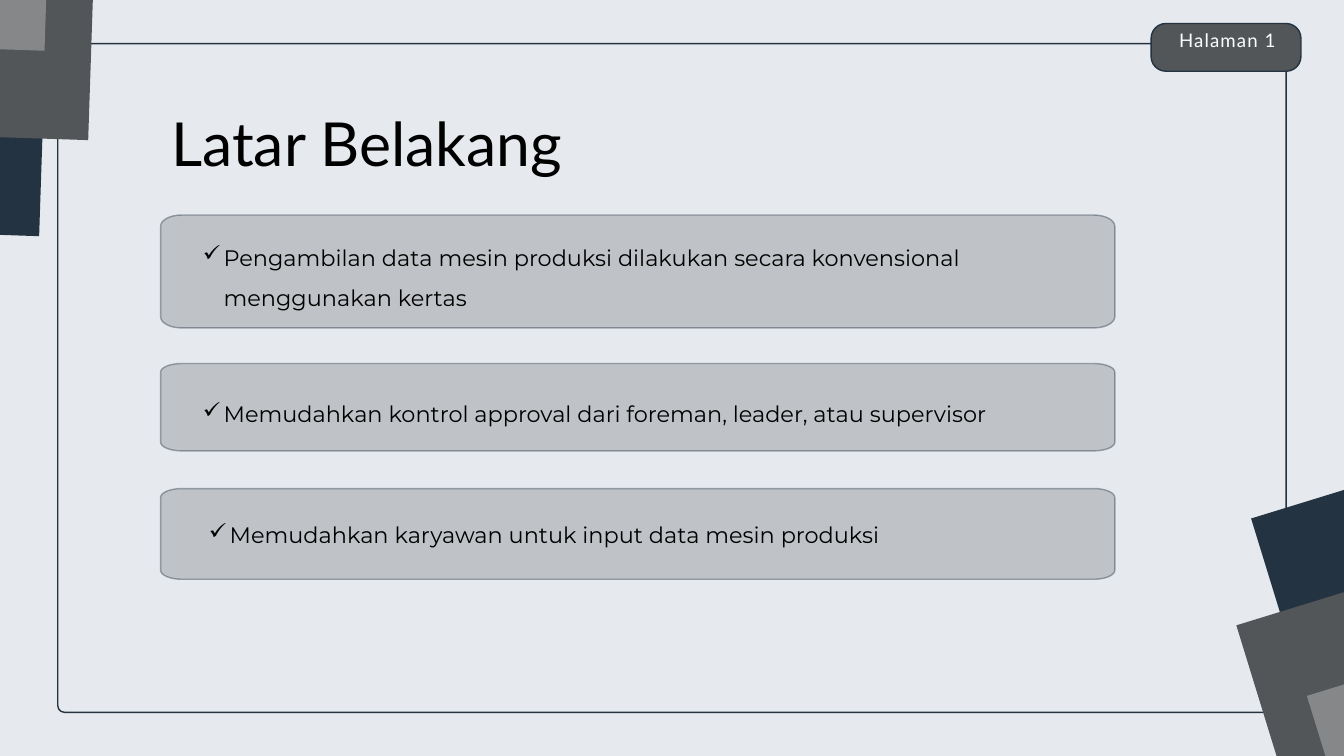
from math import cos, pi, sin

from lxml.etree import SubElement
from pptx import Presentation
from pptx.dml.color import RGBColor
from pptx.enum.shapes import MSO_SHAPE as Shape
from pptx.enum.text import MSO_AUTO_SIZE as AutoSize, PP_ALIGN as Align
from pptx.oxml.ns import qn
from pptx.util import Inches, Pt

PALE = RGBColor(0xE6, 0xEA, 0xEF)
NAVY = RGBColor(0x24, 0x33, 0x42)
DARK_GREY = RGBColor(0x53, 0x56, 0x59)
MID_GREY = RGBColor(0x85, 0x87, 0x89)
BLACK = RGBColor(0, 0, 0)
WHITE = RGBColor(0xFF, 0xFF, 0xFF)

COLUMNS, ROWS = 20, 11.25
SQUARE_WIDTH, SQUARE_HEIGHT = 6.07, 6.1
PANEL_LEFT, PANEL_WIDTH = 2.39, 14.2

# Left column and top row of each square, from back to front
TOP_SQUARES = [(-5.4, -2.67), (-4.67, -4.1), (-5.32, -5.43)]
BOTTOM_SQUARES = [(19.39, 6.67), (19.17, 8.26), (20.22, 9.31)]

# Panel top and height, then text left, top, width and height
POINTS = [
    (3.2, 1.68, (2.92, 3.38, 12.67, 1.31),
     "Pengambilan data mesin produksi dilakukan secara konvensional menggunakan kertas"),
    (5.41, 1.3, (2.92, 5.71, 12.58, 0.71),
     "Memudahkan kontrol approval dari foreman, leader, atau supervisor"),
    (7.27, 1.35, (3.01, 7.51, 11.39, 0.71),
     "Memudahkan karyawan untuk input data mesin produksi"),
]


class SlideBuilder:
    """Places elements on a grid of COLUMNS by ROWS."""

    heading_font = "Lato"
    body_font = "Montserrat"
    line_width = Pt(1.5)

    def __init__(self, deck):
        self.column = deck.slide_width / COLUMNS
        self.row = deck.slide_height / ROWS
        self.slide = deck.slides.add_slide(deck.slide_layouts[6])
        self.shapes = self.slide.shapes
        fill = self.slide.background.fill
        fill.solid()
        fill.fore_color.rgb = PALE

    def grid(self, left, top, width, height):
        return (round(left * self.column), round(top * self.row),
                round(width * self.column), round(height * self.row))

    def paint(self, shape, color, line=None, opacity=None):
        shape.shadow.inherit = False
        shape.fill.solid()
        shape.fill.fore_color.rgb = color
        if line is None:
            shape.line.fill.background()
        else:
            shape.line.color.rgb = line
            shape.line.width = self.line_width
        if opacity is not None:
            for node in shape._element.spPr.iter(qn("a:srgbClr")):
                SubElement(node, qn("a:alpha"), val=str(opacity * 1000))

    def square(self, left, top, rotation, color):
        area = self.grid(left, top, SQUARE_WIDTH, SQUARE_HEIGHT)
        square = self.shapes.add_shape(Shape.RECTANGLE, *area)
        square.rotation = rotation
        self.paint(square, color)

    def rounded_box(self, left, top, width, height, radius, color):
        area = self.grid(left, top, width, height)
        box = self.shapes.add_shape(Shape.ROUNDED_RECTANGLE, *area)
        box.adjustments[0] = radius / min(width, height)
        self.paint(box, color, NAVY)

    def panel(self, top, height):
        """Draws a translucent panel whose corners are wider than they are tall."""
        left, top, width, height = self.grid(PANEL_LEFT, top, PANEL_WIDTH, height)
        radius_x, radius_y, steps = 0.022 * width, 0.1 * height, 8
        centres = [(left + width - radius_x, top + height - radius_y),
                   (left + radius_x, top + height - radius_y),
                   (left + radius_x, top + radius_y),
                   (left + width - radius_x, top + radius_y)]
        outline = []
        for corner, (x, y) in enumerate(centres):
            for step in range(steps + 1):
                angle = (corner + step / steps) * pi / 2
                outline.append((round(x + radius_x * cos(angle)),
                                round(y + radius_y * sin(angle))))
        builder = self.shapes.build_freeform(*outline[0])
        builder.add_line_segments(outline[1:], close=True)
        self.paint(builder.convert_to_shape(), MID_GREY, NAVY, opacity=40)

    def text_box(self, area, text, spacing):
        box = self.shapes.add_textbox(*self.grid(*area))
        frame = box.text_frame
        frame.text = text
        frame.word_wrap = True
        frame.auto_size = AutoSize.SHAPE_TO_FIT_TEXT
        para = frame.paragraphs[0]
        para.line_spacing = spacing
        return frame, para

    def style(self, span, font, size, color):
        span.font.name = font
        span.font.size = Pt(size)
        span.font.color.rgb = color

    def heading(self, area, text, size, spacing, color, tracking=0):
        frame, para = self.text_box(area, text, Pt(spacing))
        frame.margin_left = frame.margin_right = 0
        frame.margin_top = frame.margin_bottom = 0
        para.alignment = Align.CENTER
        span = para.runs[0]
        self.style(span, self.heading_font, size, color)
        if tracking:
            span.font._element.set("spc", str(round(tracking * 100)))

    def check_item(self, area, text):
        _, para = self.text_box(area, text, 1.5)
        properties = para._p.get_or_add_pPr()
        indent = Inches(0.31)
        properties.set("marL", str(indent))
        properties.set("indent", str(-indent))
        SubElement(properties, qn("a:buChar"), char="✓")
        self.style(para.runs[0], self.body_font, 24, BLACK)


def main():
    deck = Presentation()
    deck.slide_width, deck.slide_height = Inches(COLUMNS), Inches(ROWS)
    page = SlideBuilder(deck)

    page.rounded_box(0.86, 0.65, 18.28, 9.95, 0.1, PALE)
    for squares, rotation in ((TOP_SQUARES, 271.9), (BOTTOM_SQUARES, 72.9)):
        for (left, top), color in zip(squares, (NAVY, DARK_GREY, MID_GREY)):
            page.square(left, top, rotation, color)

    page.heading((1.23, 1.83, 8.46, 1.21), "Latar Belakang", 65, 59.8, BLACK)
    page.rounded_box(17.13, 0.35, 2.23, 0.71, 0.22, DARK_GREY)
    page.heading((17.08, 0.38, 2.37, 0.37), "Halaman 1", 20, 28, WHITE, tracking=1.2)

    for top, height, text_area, text in POINTS:
        page.panel(top, height)
        page.check_item(text_area, text)

    deck.save("out.pptx")


if __name__ == "__main__":
    main()
